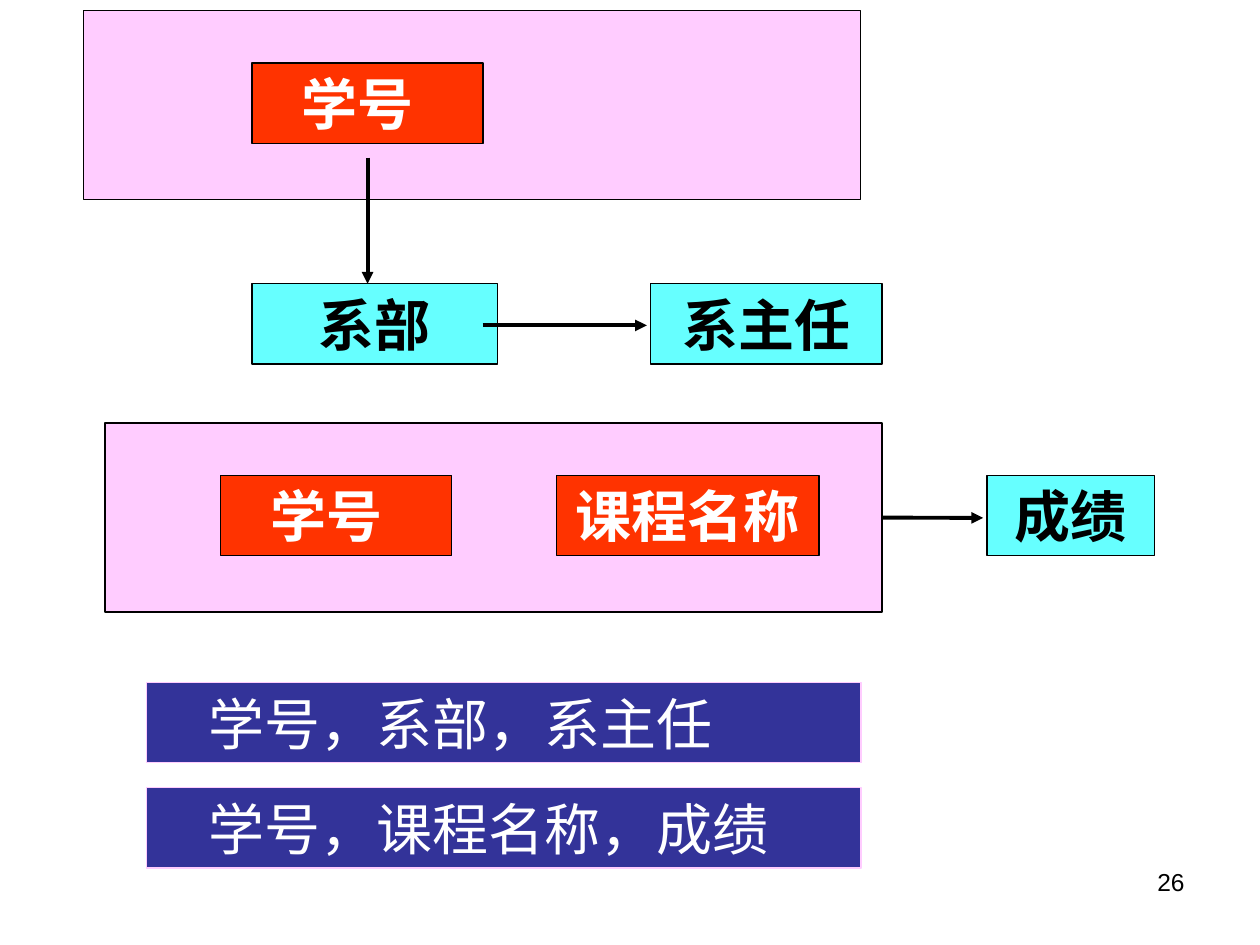
import pptx
import pptx.util
import pptx.dml.color
import pptx.enum.shapes
import pptx.enum.text
import pptx.oxml.ns
import lxml.etree

Cm = pptx.util.Cm
Pt = pptx.util.Pt
RGB = pptx.dml.color.RGBColor
ALIGN = pptx.enum.text.PP_ALIGN
ANCHOR = pptx.enum.text.MSO_ANCHOR
RECT = pptx.enum.shapes.MSO_SHAPE.RECTANGLE
LINE = pptx.enum.shapes.MSO_CONNECTOR.STRAIGHT

BLACK = RGB(0x00, 0x00, 0x00)
WHITE = RGB(0xFF, 0xFF, 0xFF)
PINK = RGB(0xFF, 0xCC, 0xFF)
CYAN = RGB(0x66, 0xFF, 0xFF)
RED = RGB(0xFF, 0x33, 0x00)
NAVY = RGB(0x33, 0x33, 0x99)

deck = pptx.Presentation()
deck.slide_width = Cm(25.4)
deck.slide_height = Cm(19.05)
slide = deck.slides.add_slide(deck.slide_layouts[6])
shapes = slide.shapes


def write(shape, text, size=32, font="Times New Roman", color=BLACK, bold=False,
          align=ALIGN.CENTER, anchor=ANCHOR.MIDDLE, indent=0):
    frame = shape.text_frame
    frame.word_wrap = True
    frame.vertical_anchor = anchor
    frame.margin_left = Cm(0.25 + indent)
    para = frame.paragraphs[0]
    para.alignment = align
    run = para.add_run()
    run.text = text
    run.font.size = Pt(size)
    run.font.name = font
    run.font.bold = bold
    run.font.color.rgb = color


def block(left, top, width, height, fill, edge=BLACK):
    shape = shapes.add_shape(RECT, Cm(left), Cm(top), Cm(width), Cm(height))
    shape.shadow.inherit = False
    shape.fill.solid()
    shape.fill.fore_color.rgb = fill
    shape.line.color.rgb = edge
    shape.line.width = Pt(0.75)
    return shape


# Pink bands behind the keys
bands = [block(left, top, 15.66, 3.81, PINK) for left, top in [(1.69, 0.21), (2.12, 8.53)]]

# Dependent attributes
for text, left, top, width in [("系部", 5.08, 5.72, 4.95),
                               ("系主任", 13.12, 5.72, 4.66),
                               ("成绩", 19.9, 9.58, 3.38)]:
    write(block(left, top, width, 1.62, CYAN), text, bold=True)

# Key attributes
for text, left, top, width, align, indent in [
        ("学号", 5.08, 1.27, 4.66, ALIGN.LEFT, 0.75),
        ("学号", 4.45, 9.58, 4.66, ALIGN.LEFT, 0.75),
        ("课程名称", 11.22, 9.58, 5.29, ALIGN.CENTER, 0)]:
    write(block(left, top, width, 1.62, RED), text, color=WHITE, bold=True,
          align=align, indent=indent)

# Resulting relations
for text, top in [("学号，系部，系主任", 13.76), ("学号，课程名称，成绩", 15.88)]:
    write(block(2.96, top, 14.4, 1.62, NAVY, PINK), text, color=WHITE,
          align=ALIGN.LEFT, indent=1)

# Dependency arrows
for x1, y1, x2, y2, start in [(7.41, 3.18, 7.41, 5.72, None),
                              (9.73, 6.56, 13.04, 6.56, None),
                              (17.78, 10.44, 19.82, 10.44, bands[1])]:
    arrow = shapes.add_connector(LINE, Cm(x1), Cm(y1), Cm(x2), Cm(y2))
    if start is not None:
        arrow.begin_connect(start, 3)
    arrow.line.color.rgb = BLACK
    arrow.line.width = Pt(2.25)
    tail = lxml.etree.SubElement(arrow.line._get_or_add_ln(), pptx.oxml.ns.qn("a:tailEnd"))
    tail.set("type", "triangle")
    lxml.etree.SubElement(arrow._element.spPr, pptx.oxml.ns.qn("a:effectLst"))

# Page number
page = shapes.add_textbox(Cm(18.21), Cm(17.35), Cm(5.92), Cm(1.32))
write(page, "26", size=14, font="Arial", align=ALIGN.RIGHT, anchor=ANCHOR.TOP)

deck.save("out.pptx")
